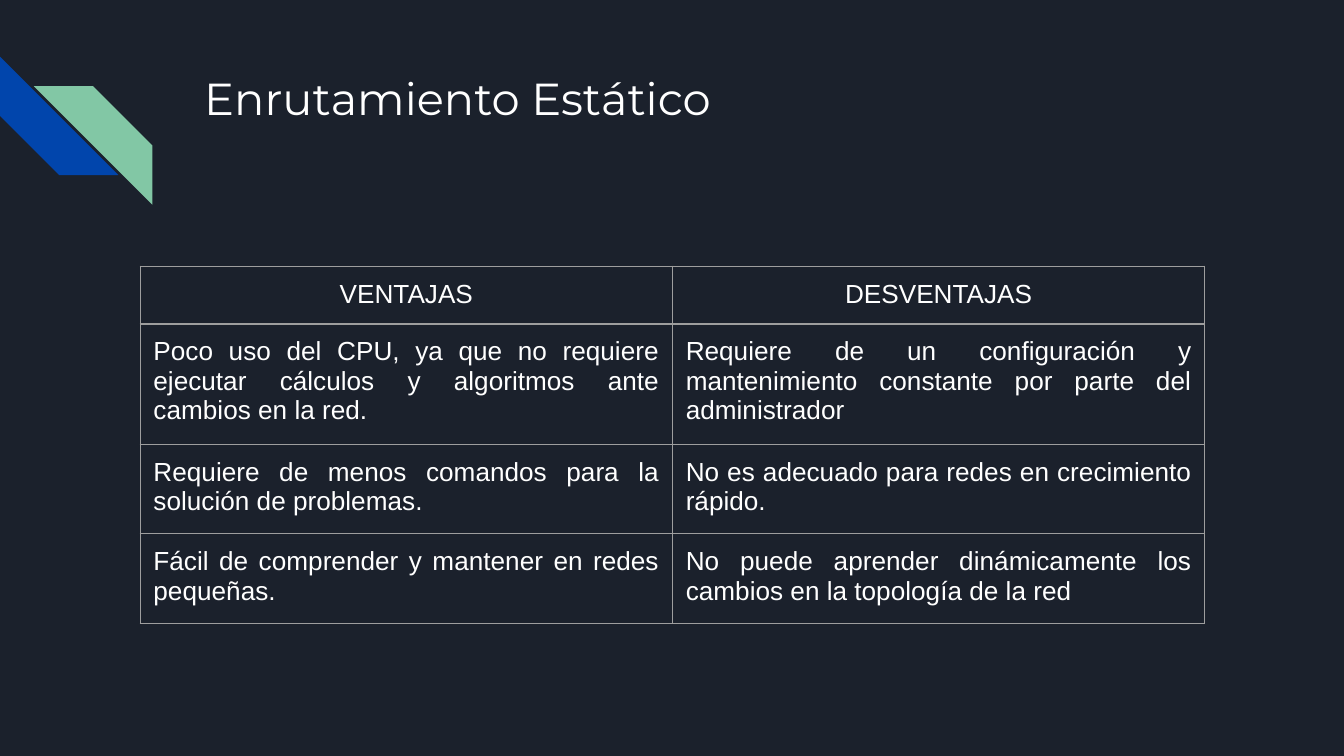
from lxml import etree
from pptx import Presentation
from pptx.dml.color import RGBColor
from pptx.enum.shapes import MSO_SHAPE
from pptx.enum.text import MSO_ANCHOR, PP_ALIGN
from pptx.oxml.ns import qn
from pptx.util import Cm, Pt

STRIPE = MSO_SHAPE.DIAGONAL_STRIPE
TOP = MSO_ANCHOR.TOP
CENTER, JUSTIFY = PP_ALIGN.CENTER, PP_ALIGN.JUSTIFY

COLORS = {
    "background": "1B212C",
    "blue": "0145AC",
    "green": "82C7A5",
    "text": "FFFFFF",
    "border": "9E9E9E",
}
TITLE = "Enrutamiento Estático"
ROWS = [
    ("VENTAJAS", "DESVENTAJAS"),
    ("Poco uso del CPU, ya que no requiere ejecutar cálculos y algoritmos ante cambios en la red.",
     "Requiere de un configuración y mantenimiento constante por parte del administrador"),
    ("Requiere de menos comandos para la solución de problemas.",
     "No es adecuado para redes en crecimiento rápido."),
    ("Fácil de comprender y mantener en redes pequeñas.",
     "No puede aprender dinámicamente los cambios en la topología de la red"),
]
ROW_HEIGHTS = [1.07, 2.16, 1.62, 1.62]
COLUMN_WIDTH = 10.06
STRIPES = [
    ("blue", 0, 1.07, 270, False),
    ("green", 0.64, 1.63, 0, True),
]
STRIPE_SIZE = Cm(2.24)
INSET = Cm(0.25)


def rgb(name):
    return RGBColor.from_string(COLORS[name])


def set_insets(box):
    box.margin_left = box.margin_right = box.margin_top = box.margin_bottom = INSET
    box.vertical_anchor = TOP


def add_run(p, text, font, size):
    r = p.add_run()
    r.text = text
    r.font.name = font
    r.font.size = Pt(size)
    r.font.bold = False
    r.font.color.rgb = rgb("text")


def add_borders(cell):
    tc_pr = cell._tc.get_or_add_tcPr()
    for side in ("lnL", "lnR", "lnT", "lnB"):
        line = etree.SubElement(tc_pr, qn(f"a:{side}"), w=str(Pt(0.75)))
        fill = etree.SubElement(line, qn("a:solidFill"))
        etree.SubElement(fill, qn("a:srgbClr"), val=COLORS["border"])


def add_stripe(slide, color, left, top, rotation, flipped):
    s = slide.shapes.add_shape(STRIPE, Cm(left), Cm(top), STRIPE_SIZE, STRIPE_SIZE)
    s.shadow.inherit = False
    s.fill.solid()
    s.fill.fore_color.rgb = rgb(color)
    s.line.fill.background()
    s.rotation = rotation
    if flipped:
        s._element.spPr.find(qn("a:xfrm")).set("flipH", "1")


def add_title(slide):
    tf = slide.shapes.add_textbox(Cm(3.61), Cm(1.09), Cm(19.56), Cm(2.54)).text_frame
    tf.word_wrap = True
    set_insets(tf)
    add_run(tf.paragraphs[0], TITLE, "Montserrat", 24)


def add_comparison(slide):
    columns = len(ROWS[0])
    table = slide.shapes.add_table(
        len(ROWS), columns, Cm(2.65), Cm(5.03),
        Cm(COLUMN_WIDTH * columns), Cm(sum(ROW_HEIGHTS))).table
    table.first_row = table.horz_banding = False
    for column in table.columns:
        column.width = Cm(COLUMN_WIDTH)
    for i, (texts, height) in enumerate(zip(ROWS, ROW_HEIGHTS)):
        table.rows[i].height = Cm(height)
        for j, text in enumerate(texts):
            cell = table.cell(i, j)
            set_insets(cell)
            add_borders(cell)
            cell.fill.background()
            p = cell.text_frame.paragraphs[0]
            p.alignment = JUSTIFY if i else CENTER
            add_run(p, text, "Arial", 14)


def main():
    prs = Presentation()
    prs.slide_width, prs.slide_height = Cm(25.4), Cm(14.29)
    slide = prs.slides.add_slide(prs.slide_layouts[6])
    slide.background.fill.solid()
    slide.background.fill.fore_color.rgb = rgb("background")
    for stripe in STRIPES:
        add_stripe(slide, *stripe)
    add_title(slide)
    add_comparison(slide)
    prs.save("out.pptx")


if __name__ == "__main__":
    main()
